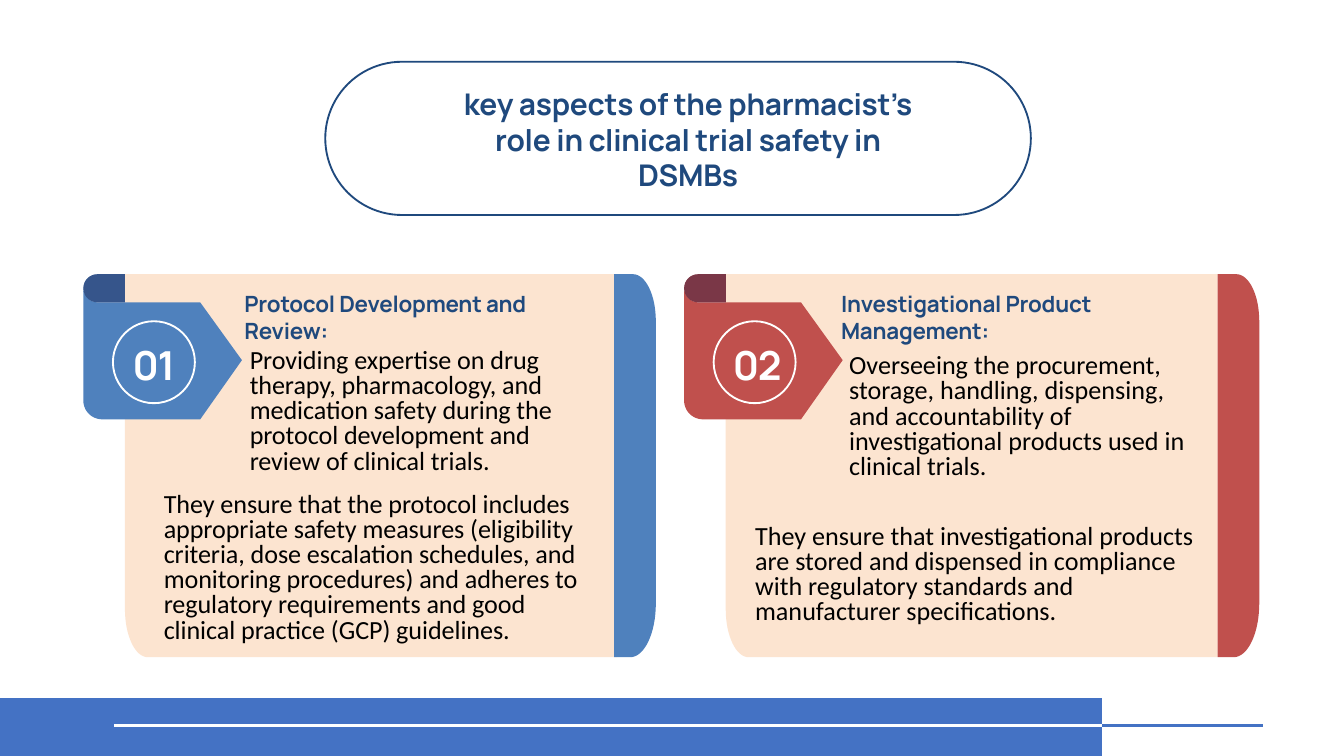
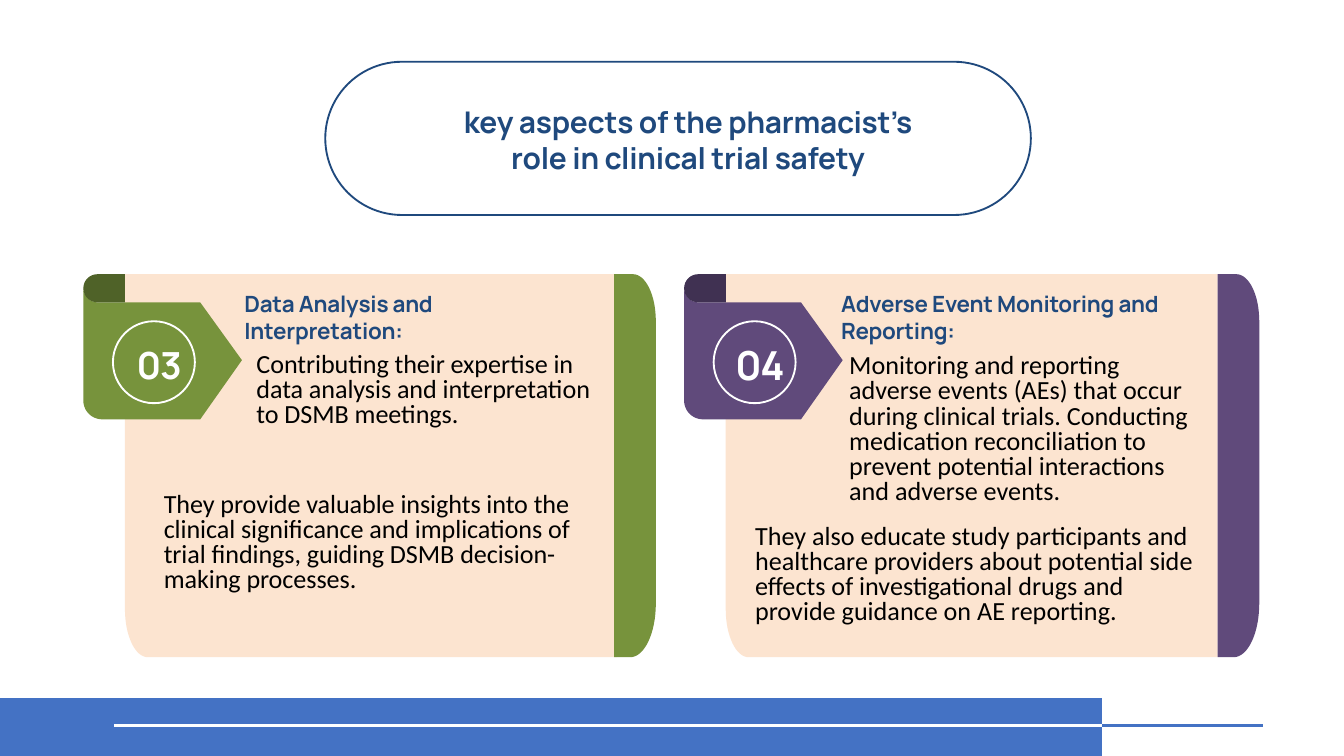
import dataclasses
import math

import pptx
import pptx.dml.color
import pptx.enum.shapes
import pptx.enum.text
import pptx.oxml
import pptx.oxml.ns
import pptx.util

Inches = pptx.util.Inches
Pt = pptx.util.Pt
PRESET = pptx.enum.shapes.MSO_SHAPE
ALIGN = pptx.enum.text.PP_ALIGN
ANCHOR = pptx.enum.text.MSO_ANCHOR

COLORS = {
    "white": "FFFFFF",
    "black": "000000",
    "navy": "1F497D",
    "footer": "4472C4",
    "card": "F79646",
    "blue": "4F81BD",
    "red": "C0504D",
    "green": "77933C",
    "purple": "604A7B",
    "ink": "111340",
    "dark_green": "4F6228",
    "dark_purple": "403152",
}
SLIDE_WIDTH = 10
SLIDE_HEIGHT = SLIDE_WIDTH * 9 / 16
CARD_TOP, CARD_BOTTOM = 2.04, 4.89
CURL_HEIGHT = 0.21
CARD_LEFTS = (0.62, 5.09)
SPINE_LEFTS = (4.57, 9.06)
HEADING_LEFTS = (1.72, 6.16)
CLOSING_BOXES = ((1.12, 3.62, 3.45), (5.52, 3.86, 3.5))


@dataclasses.dataclass
class Aspect:
    """One numbered aspect of the pharmacist's role."""
    number: str
    accent: str
    shade: str
    shade_alpha: int
    heading: str
    heading_width: float
    duty: str
    duty_box: tuple
    closing: str
    closing_height: float
    number_box: tuple
    number_size: float = 21.4
    spacing: float = 0


def rgb(name):
    """Return the named colour."""
    return pptx.dml.color.RGBColor.from_string(COLORS[name])


def arc(cx, cy, rx, ry, start, end, steps=16):
    """Return points on an ellipse between two angles in degrees."""
    angles = [math.radians(start + (end - start) * i / steps) for i in range(steps + 1)]
    return [(cx + rx * math.cos(a), cy + ry * math.sin(a)) for a in angles]


def add_outline(slide, points, color, alpha=100):
    """Draw a filled outline, optionally translucent."""
    corners = [(Inches(x), Inches(y)) for x, y in points]
    builder = slide.shapes.build_freeform(*corners[0], scale=1.0)
    builder.add_line_segments(corners[1:], close=True)
    outline = builder.convert_to_shape()
    outline.shadow.inherit = False
    outline.fill.solid()
    outline.fill.fore_color.rgb = rgb(color)
    outline.line.fill.background()
    if alpha < 100:
        tint = outline._element.spPr.find(".//" + pptx.oxml.ns.qn("a:srgbClr"))
        tint.append(pptx.oxml.parse_xml(
            f'<a:alpha {pptx.oxml.ns.nsdecls("a")} val="{alpha * 1000}"/>'))


def add_ring(slide, preset, box, color):
    """Draw an unfilled preset shape with a thin line."""
    ring = slide.shapes.add_shape(preset, *map(Inches, box))
    ring.shadow.inherit = False
    ring.fill.background()
    ring.line.color.rgb = rgb(color)
    ring.line.width = Pt(1)
    return ring


def add_rule(slide, left, right, y, color):
    """Draw a horizontal footer rule."""
    rule = slide.shapes.add_connector(
        pptx.enum.shapes.MSO_CONNECTOR.STRAIGHT,
        Inches(left), Inches(y), Inches(right), Inches(y))
    rule.line.color.rgb = rgb(color)
    rule.line.width = Pt(1.5)
    rule._element.spPr.append(pptx.oxml.parse_xml(
        f'<a:effectLst {pptx.oxml.ns.nsdecls("a")}/>'))


def add_text(slide, box, words, size, color, font="Manrope", spacing=-0.1,
             align=ALIGN.LEFT):
    """Write one paragraph: bold and centred on its height, or plain body text."""
    frame = slide.shapes.add_textbox(*map(Inches, box)).text_frame
    frame.word_wrap = True
    frame.auto_size = pptx.enum.text.MSO_AUTO_SIZE.SHAPE_TO_FIT_TEXT
    paragraph = frame.paragraphs[0]
    paragraph.alignment = align
    run = paragraph.add_run()
    run.text = words
    run.font.name = font
    run.font.size = Pt(size)
    run.font.color.rgb = rgb(color)
    if font == "Manrope":
        run.font.bold = True
        frame.vertical_anchor = ANCHOR.MIDDLE
    else:
        paragraph.line_spacing = Pt(13.5)
    if spacing:
        run._r.get_or_add_rPr().set("spc", str(round(spacing * 100)))


def add_body(slide, box, words, spacing):
    """Write body text."""
    add_text(slide, box, words, 14, "black", "Calibri", spacing)


def add_footer(slide):
    """Draw the footer band and its rules."""
    add_outline(slide, [(0, 5.19), (8.2, 5.19), (8.2, SLIDE_HEIGHT), (0, SLIDE_HEIGHT)],
                "footer")
    add_rule(slide, 0.85, 8.26, 5.4, "white")
    add_rule(slide, 8.2, 9.4, 5.4, "footer")


def add_title(slide, words, top, height):
    """Draw the title pill and its wording."""
    pill = add_ring(slide, PRESET.ROUNDED_RECTANGLE, (2.42, 0.46, 5.25, 1.14), "navy")
    pill.adjustments[0] = 0.5
    add_text(slide, (3.2, top, 3.84, height), words, 16, "navy", align=ALIGN.CENTER)


def add_card(slide, column, aspect):
    """Draw the card, spine, number tag and wording of one aspect."""
    left, spine = CARD_LEFTS[column], SPINE_LEFTS[column]
    fold, right = left + 0.31, left + 3.97
    add_outline(slide, [(fold, CARD_TOP), (right, CARD_TOP), (right, CARD_BOTTOM)]
                + arc(fold + 0.17, CARD_BOTTOM - 0.36, 0.17, 0.36, 90, 180),
                "card", 25)
    add_outline(slide, [(spine, CARD_BOTTOM), (spine, CARD_TOP)]
                + arc(spine + 0.14, CARD_TOP + 0.35, 0.17, 0.35, -90, 0)
                + arc(spine + 0.12, CARD_BOTTOM - 0.4, 0.19, 0.4, 0, 90),
                aspect.accent)
    add_outline(slide, arc(left + 0.11, 2.14, 0.11, 0.11, 180, 90)
                + [(left + 0.87, 2.25), (left + 1.18, 2.68), (left + 0.87, 3.12)]
                + arc(left + 0.14, 2.98, 0.14, 0.14, 90, 180), aspect.accent)
    radius = CURL_HEIGHT / 2
    curl = ([(fold, CARD_TOP + CURL_HEIGHT)]
            + arc(left + radius, CARD_TOP + radius, radius, radius, 90, 270)
            + [(fold, CARD_TOP)])
    if aspect.shade_alpha < 100:
        add_outline(slide, curl, aspect.accent)
    add_outline(slide, curl, aspect.shade, aspect.shade_alpha)
    add_ring(slide, PRESET.OVAL, (left + 0.22, 2.39, 0.61, 0.61), "white")
    add_text(slide, aspect.number_box, aspect.number, aspect.number_size, "white",
             spacing=-0.6, align=ALIGN.CENTER)
    add_text(slide, (HEADING_LEFTS[column], 2.11, aspect.heading_width, 0.5),
             aspect.heading, 12, "navy")
    add_body(slide, aspect.duty_box, aspect.duty, aspect.spacing)
    add_body(slide, CLOSING_BOXES[column] + (aspect.closing_height,),
             aspect.closing, aspect.spacing)


SLIDES = [
    ("key aspects of the pharmacist's role in clinical trial safety in DSMBs", 0.58, 0.91, [
        Aspect(
            "01", "blue", "ink", 40, "Protocol Development and Review:", 2.73,
            "Providing expertise on drug therapy, pharmacology, and medication safety "
            "during the protocol development and review of clinical trials.",
            (1.76, 2.55, 2.78, 1.09),
            "They ensure that the protocol includes appropriate safety measures "
            "(eligibility criteria, dose escalation schedules, and monitoring procedures) "
            "and adheres to regulatory requirements and good clinical practice (GCP) "
            "guidelines.", 1.28, (0.88, 2.48, 0.53, 0.46), spacing=-0.07),
        Aspect(
            "02", "red", "ink", 40, "Investigational Product Management:", 2.96,
            "Overseeing the procurement, storage, handling, dispensing, and "
            "accountability of investigational products used in clinical trials.",
            (6.22, 2.59, 2.73, 1.09),
            "They ensure that investigational products are stored and dispensed in "
            "compliance with regulatory standards and manufacturer specifications.",
            0.89, (5.35, 2.48, 0.57, 0.46)),
    ]),
    ("key aspects of the pharmacist's role in clinical trial safety", 0.72, 0.64, [
        Aspect(
            "03", "green", "dark_green", 100, "Data Analysis and Interpretation:", 2.8,
            "Contributing their expertise in data analysis and interpretation to DSMB "
            "meetings.", (1.81, 2.58, 2.78, 0.69),
            "They provide valuable insights into the clinical significance and "
            "implications of trial findings, guiding DSMB decision-making processes.",
            1.09, (0.88, 2.49, 0.61, 0.44), number_size=20, spacing=-0.07),
        Aspect(
            "04", "purple", "dark_purple", 100,
            "Adverse Event Monitoring and Reporting:", 2.96,
            "Monitoring and reporting adverse events (AEs) that occur during clinical "
            "trials. Conducting medication reconciliation to prevent potential "
            "interactions and adverse events.", (6.22, 2.59, 2.84, 1.28),
            "They also educate study participants and healthcare providers about "
            "potential side effects of investigational drugs and provide guidance on "
            "AE reporting.", 0.89, (5.35, 2.48, 0.61, 0.46)),
    ]),
]


def main():
    """Build and save the presentation."""
    deck = pptx.Presentation()
    deck.slide_width, deck.slide_height = Inches(SLIDE_WIDTH), Inches(SLIDE_HEIGHT)
    for title, title_top, title_height, aspects in SLIDES:
        slide = deck.slides.add_slide(deck.slide_layouts[6])
        add_footer(slide)
        add_title(slide, title, title_top, title_height)
        for column, aspect in enumerate(aspects):
            add_card(slide, column, aspect)
    deck.save("out.pptx")


if __name__ == "__main__":
    main()
